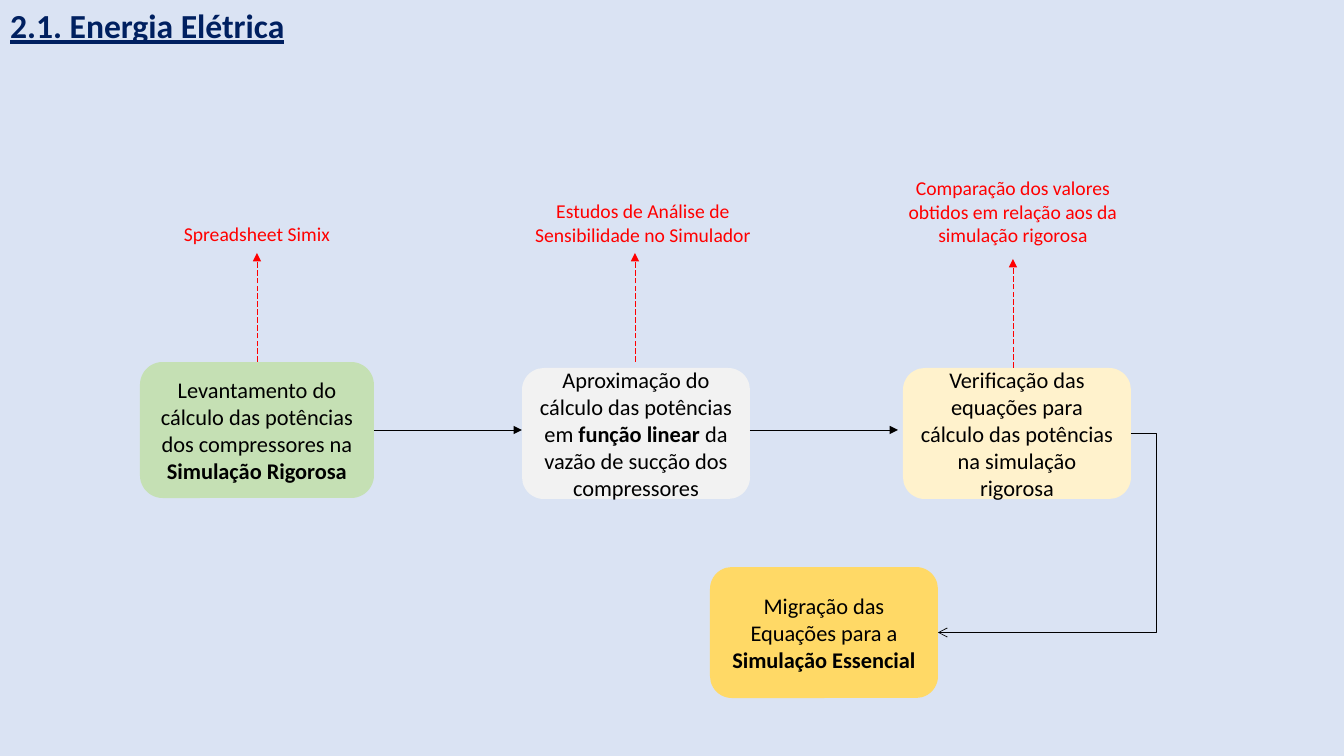
from lxml.etree import SubElement
from pptx import Presentation
from pptx.dml.color import RGBColor
from pptx.enum.dml import MSO_LINE
from pptx.enum.shapes import MSO_CONNECTOR, MSO_SHAPE
from pptx.enum.text import MSO_ANCHOR, MSO_AUTO_SIZE, PP_ALIGN
from pptx.oxml.ns import qn
from pptx.util import Pt

PX = 914400 / 100.8
FONT = "Calibri"
BACKGROUND = RGBColor(0xDA, 0xE3, 0xF3)
NAVY = RGBColor(0x00, 0x20, 0x60)
BLACK = RGBColor(0x00, 0x00, 0x00)
RED = RGBColor(0xFF, 0x00, 0x00)
GREEN = RGBColor(0xC5, 0xE0, 0xB4)
GRAY = RGBColor(0xF2, 0xF2, 0xF2)
CREAM = RGBColor(0xFF, 0xF2, 0xCC)
GOLD = RGBColor(0xFF, 0xD9, 0x66)

TITLE = "2.1. Energia Elétrica"
# Each step: left, top, width, height, fill, (text, bold) spans
STEPS = [
    (140, 362, 234, 136, GREEN, [("Levantamento do cálculo das potências dos compressores na ", False),
                                 ("Simulação Rigorosa", True)]),
    (522, 368, 228, 131, GRAY, [("Aproximação do cálculo das potências em ", False),
                                ("função linear ", True),
                                ("da vazão de sucção dos compressores", False)]),
    (903, 368, 228, 131, CREAM, [("Verificação das equações para cálculo das potências "
                                  "na simulação rigorosa", False)]),
    (710, 567, 228, 131, GOLD, [("Migração das Equações para a ", False),
                                ("Simulação Essencial", True)]),
]
# Each note: text centre, top, height, arrow x, arrow start y, text
NOTES = [
    (257, 217, 34, 257, 362, "Spreadsheet Simix"),
    (643, 194, 57, 635, 362, "Estudos de Análise de Sensibilidade no Simulador"),
    (1013, 171, 82, 1013, 368, "Comparação dos valores obtidos em relação aos da simulação rigorosa"),
]
NOTE_WIDTH = 260
NOTE_ARROW = 109
FLOW_ARROW = 148
FLOW_Y = 430
BEND = 25


def emu(*lengths):
    return [round(length * PX) for length in lengths]


def style(paragraph, size, color, align=PP_ALIGN.CENTER):
    paragraph.alignment = align
    font = paragraph.font
    font.name, font.size, font.color.rgb = FONT, Pt(size), color


def add_arrow(page, start, end, color=BLACK, kind=MSO_CONNECTOR.STRAIGHT, head="triangle"):
    arrow = page.shapes.add_connector(kind, *emu(*start, *end))
    arrow.line.color.rgb = color
    arrow.line.width = Pt(0.5)
    SubElement(arrow.line._get_or_add_ln(), qn("a:tailEnd"), type=head)
    SubElement(arrow._element.spPr, qn("a:effectLst"))
    return arrow


deck = Presentation()
deck.slide_width, deck.slide_height = emu(1344, 756)
page = deck.slides.add_slide(deck.slide_layouts[5])
page.background.fill.solid()
page.background.fill.fore_color.rgb = BACKGROUND

# Title
title = page.shapes.title
title.left, title.top, title.width, title.height = emu(0, 0, 916, 50)
frame = title.text_frame
frame.text = TITLE
frame.auto_size = MSO_AUTO_SIZE.NONE
frame.vertical_anchor = MSO_ANCHOR.TOP
style(frame.paragraphs[0], 24, NAVY, PP_ALIGN.LEFT)
frame.paragraphs[0].font.bold = True
frame.paragraphs[0].font.underline = True

# Steps
for left, top, width, height, fill, spans in STEPS:
    box = page.shapes.add_shape(MSO_SHAPE.ROUNDED_RECTANGLE, *emu(left, top, width, height))
    box.shadow.inherit = False
    box.fill.solid()
    box.fill.fore_color.rgb = fill
    box.line.fill.background()
    box.text_frame.word_wrap = True
    box.text_frame.vertical_anchor = MSO_ANCHOR.MIDDLE
    para = box.text_frame.paragraphs[0]
    style(para, 16, BLACK)
    for text, bold in spans:
        span = para.add_run()
        span.text, span.font.bold = text, bold
        span.font.color.rgb = BLACK

# Notes with dashed arrows
for centre, top, height, arrow_x, arrow_y, text in NOTES:
    note = page.shapes.add_textbox(*emu(centre - NOTE_WIDTH / 2, top, NOTE_WIDTH, height))
    note.text_frame.word_wrap = True
    note.text_frame.text = text
    style(note.text_frame.paragraphs[0], 14, RED)
    arrow = add_arrow(page, (arrow_x, arrow_y), (arrow_x, arrow_y - NOTE_ARROW), RED)
    arrow.line.dash_style = MSO_LINE.LONG_DASH

# Arrows between the steps in the row
for left, top, width, *_ in STEPS[:2]:
    add_arrow(page, (left + width, FLOW_Y), (left + width + FLOW_ARROW, FLOW_Y))

# Bent arrow down to the last step
(left, top, width, height, *_), (last_left, last_top, last_width, last_height, *_) = STEPS[2:]
start = (left + width, top + height / 2)
end = (last_left + last_width, last_top + last_height / 2)
bent = add_arrow(page, start, end, kind=MSO_CONNECTOR.ELBOW, head="arrow")
adjustments = bent._element.spPr.find(qn("a:prstGeom")).get_or_add_avLst()
share = round(-100000 * BEND / (start[0] - end[0]))
SubElement(adjustments, qn("a:gd"), name="adj1", fmla=f"val {share}")

deck.save("out.pptx")
